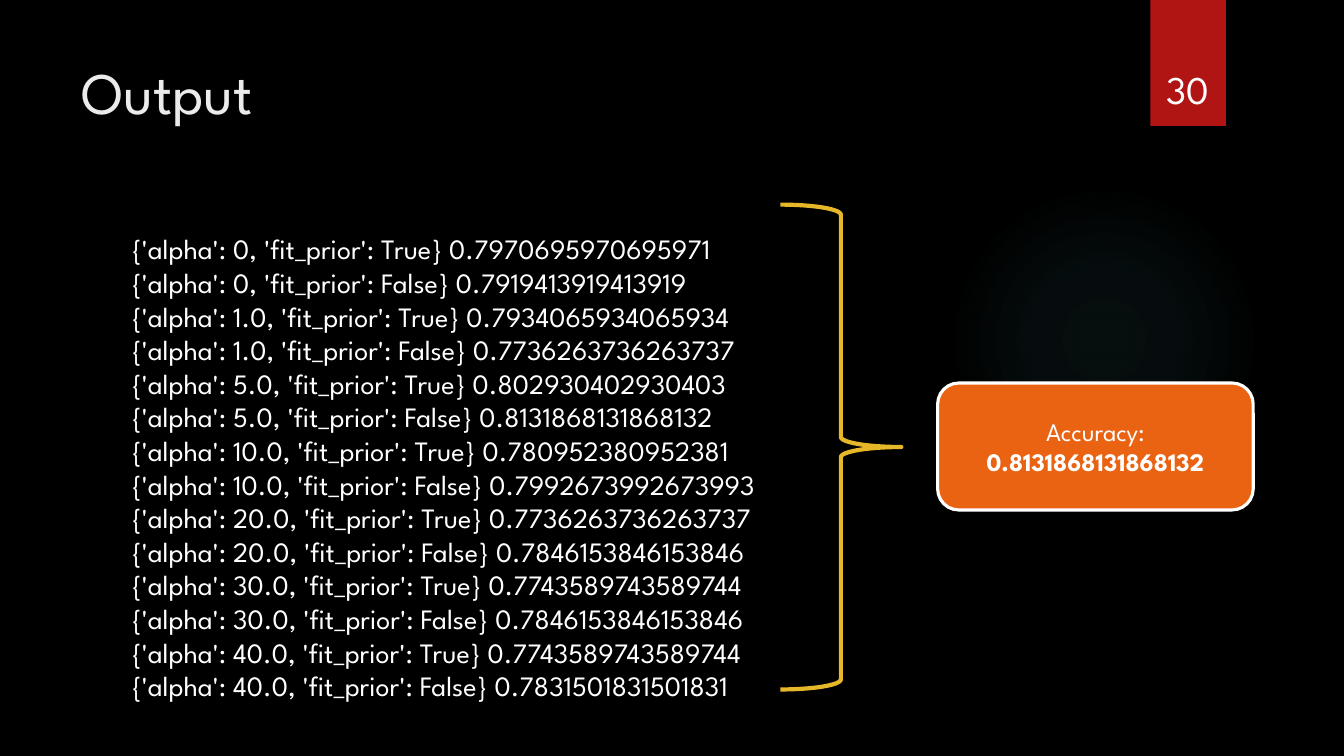
from dataclasses import dataclass

from lxml import etree
from pptx import Presentation
from pptx.dml.color import RGBColor
from pptx.enum.shapes import MSO_SHAPE
from pptx.enum.text import MSO_ANCHOR, PP_ALIGN
from pptx.oxml import parse_xml
from pptx.oxml.ns import nsdecls, qn
from pptx.util import Inches, Pt

OVAL, RECT = MSO_SHAPE.OVAL, MSO_SHAPE.RECTANGLE
ROUND, BRACE = MSO_SHAPE.ROUNDED_RECTANGLE, MSO_SHAPE.RIGHT_BRACE
TOP, MIDDLE, BOTTOM = MSO_ANCHOR.TOP, MSO_ANCHOR.MIDDLE, MSO_ANCHOR.BOTTOM
LEFT, CENTER = PP_ALIGN.LEFT, PP_ALIGN.CENTER


@dataclass(frozen=True)
class Theme:
    """Colours, font and type sizes of the deck."""
    font: str = "League Spartan"
    back: str = "000000"
    glow: str = "50B9C1"
    tab: str = "B01513"
    head: str = "EBEBEB"
    text: str = "FFFFFF"
    gold: str = "E6B729"
    card: str = "EA6312"
    title: int = 42
    page: int = 28
    body: int = 20
    note: int = 18


THEME = Theme()
SCORES = [
    ("0", "0.7970695970695971", "0.7919413919413919"),
    ("1.0", "0.7934065934065934", "0.7736263736263737"),
    ("5.0", "0.802930402930403", "0.8131868131868132"),
    ("10.0", "0.780952380952381", "0.7992673992673993"),
    ("20.0", "0.7736263736263737", "0.7846153846153846"),
    ("30.0", "0.7743589743589744", "0.7846153846153846"),
    ("40.0", "0.7743589743589744", "0.7831501831501831"),
]


def rgb(code):
    """Return a colour from its hex code."""
    return RGBColor.from_string(code)


def add_run(para, text, size, color=THEME.text, bold=False):
    """Add one styled run to a paragraph."""
    run = para.add_run()
    run.text = text
    run.font.name, run.font.size = THEME.font, Pt(size)
    run.font.bold = bold
    run.font.color.rgb = rgb(color)


def set_frame(shape, anchor, align):
    """Prepare a text frame and return its first paragraph."""
    frame = shape.text_frame
    frame.word_wrap = True
    frame.vertical_anchor = anchor
    para = frame.paragraphs[0]
    para.alignment = align
    return para


def add_form(slide, kind, box, fill=None, line=None, width=0):
    """Add a preset shape with the given fill and line."""
    shape = slide.shapes.add_shape(kind, *map(Inches, box))
    shape.shadow.inherit = False
    if fill:
        shape.fill.solid()
        shape.fill.fore_color.rgb = rgb(fill)
    else:
        shape.fill.background()
    if line:
        shape.line.color.rgb = rgb(line)
        shape.line.width = Pt(width)
    else:
        shape.line.fill.background()
    return shape


def add_glow(slide, box):
    """Add a faint radial glow."""
    props = add_form(slide, OVAL, box).fill._xPr
    stops = "".join(
        f'<a:gs pos="{pos}000"><a:srgbClr val="{THEME.glow}">'
        f'<a:alpha val="{alpha}000"/></a:srgbClr></a:gs>'
        for pos, alpha in ((0, 7), (36, 6), (69, 0)))
    grad = parse_xml(
        f'<a:gradFill {nsdecls("a")}><a:gsLst>{stops}</a:gsLst>'
        '<a:path path="circle"><a:fillToRect l="50000" t="50000" '
        'r="50000" b="50000"/></a:path></a:gradFill>')
    props.replace(props.find(qn("a:noFill")), grad)


def add_title(slide, box, text):
    """Add the slide title."""
    para = set_frame(slide.shapes.add_textbox(*map(Inches, box)), TOP, LEFT)
    add_run(para, text, THEME.title, THEME.head)


def add_page(slide, box, number):
    """Add the red tab and the page number on it."""
    left, top, width, height = box
    add_form(slide, RECT, box, THEME.tab)
    area = (left - 0.09, top + 0.32, width + 0.17, height - 0.41)
    label = slide.shapes.add_textbox(*map(Inches, area))
    add_run(set_frame(label, BOTTOM, CENTER), number, THEME.page)


def add_scores(slide, box):
    """List the score of each parameter pair."""
    shape = slide.shapes.add_textbox(*map(Inches, box))
    para = set_frame(shape, TOP, LEFT)
    lines = [f"{{'alpha': {alpha}, 'fit_prior': {prior}}} {score}"
             for alpha, *pair in SCORES
             for prior, score in zip((True, False), pair)]
    for index, line in enumerate(lines):
        if index:
            para = shape.text_frame.add_paragraph()
        props = para._p.get_or_add_pPr()
        props.set("marL", str(Inches(0.38)))
        props.set("indent", str(-Inches(0.38)))
        etree.SubElement(props, qn("a:buNone"))
        add_run(para, line, THEME.body)


def add_best(slide, box):
    """Add the brace and the card with the best accuracy."""
    left, top, width, height = box
    add_form(slide, BRACE, (left, top, 1.2, height), None, THEME.gold, 3)
    area = (left + width - 3.13, top + 1.77, 3.13, 1.26)
    card = add_form(slide, ROUND, area, THEME.card, THEME.text, 2.25)
    para = set_frame(card, MIDDLE, CENTER)
    best = max((score for row in SCORES for score in row[1:]), key=float)
    add_run(para, "Accuracy: ", THEME.note)
    add_run(para, best, THEME.note, bold=True)


def main():
    """Build and save the slide."""
    deck = Presentation()
    deck.slide_width, deck.slide_height = Inches(13.33), Inches(7.5)
    slide = deck.slides.add_slide(deck.slide_layouts[6])
    slide.background.fill.solid()
    slide.background.fill.fore_color.rgb = rgb(THEME.back)
    add_glow(slide, (9.41, 1.83, 3.08, 3.08))
    add_title(slide, (0.71, 0.5, 10.29, 1.53), "Output")
    add_page(slide, (11.41, 0, 0.75, 1.25), "30")
    add_scores(slide, (1.21, 2.25, 9.78, 4.59))
    add_best(slide, (7.74, 2.03, 4.69, 4.81))
    deck.save("out.pptx")


if __name__ == "__main__":
    main()
